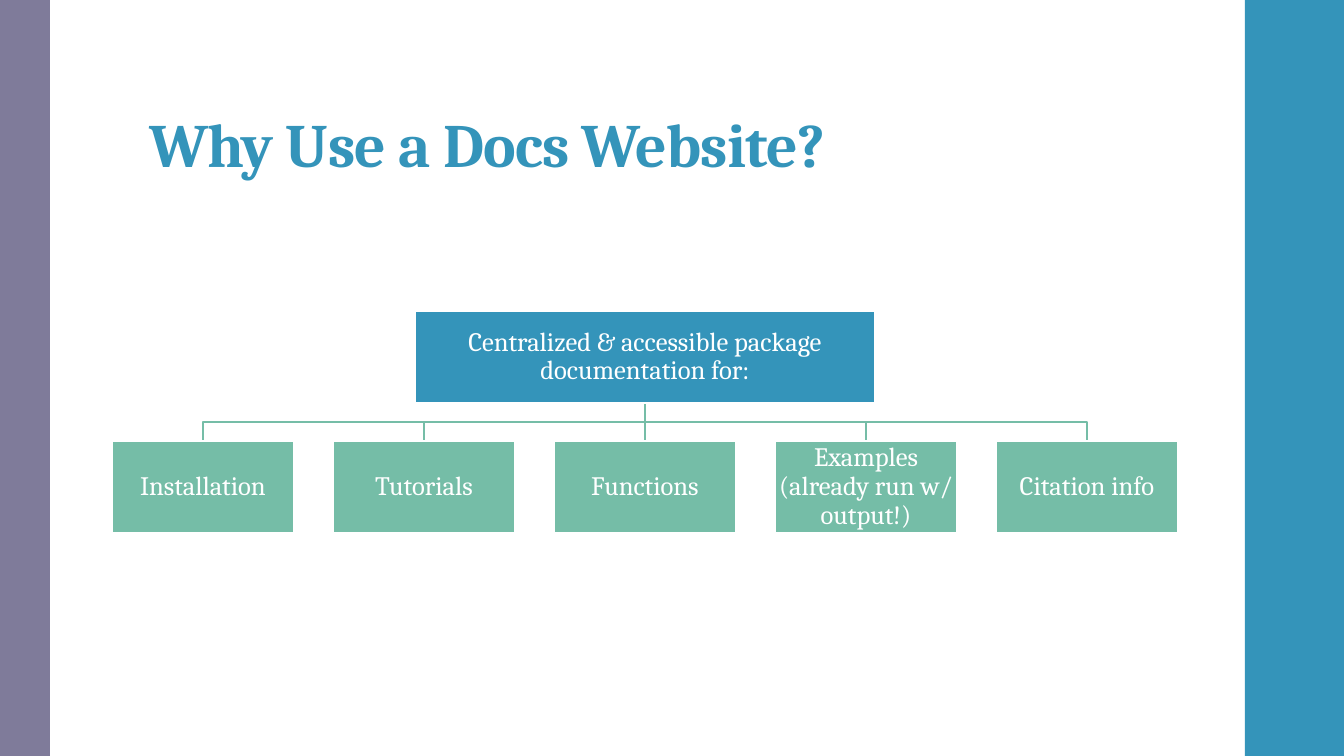
from lxml import etree
from pptx import Presentation
from pptx.dml.color import RGBColor
from pptx.enum.shapes import MSO_CONNECTOR, MSO_SHAPE
from pptx.enum.text import MSO_ANCHOR, MSO_AUTO_SIZE, PP_ALIGN
from pptx.oxml.ns import qn
from pptx.util import Pt

RECTANGLE = MSO_SHAPE.RECTANGLE
STRAIGHT = MSO_CONNECTOR.STRAIGHT
MIDDLE, BOTTOM = MSO_ANCHOR.MIDDLE, MSO_ANCHOR.BOTTOM
CENTER, LEFT = PP_ALIGN.CENTER, PP_ALIGN.LEFT
NO_AUTOFIT = MSO_AUTO_SIZE.NONE

PX = 914400 / 100.8
THEME = {
    "blue": RGBColor(0x34, 0x94, 0xBA),
    "purple": RGBColor(0x7F, 0x7B, 0x9A),
    "green": RGBColor(0x75, 0xBD, 0xA7),
    "white": RGBColor(0xFF, 0xFF, 0xFF),
    "font": "Cambria",
    "title_size": Pt(44),
    "box_size": Pt(19),
    "line_width": Pt(1.1),
}


def add_rectangle(bounds, color):
    rectangle = slide.shapes.add_shape(RECTANGLE, *(round(value * PX) for value in bounds))
    rectangle.shadow.inherit = False
    rectangle.fill.solid()
    rectangle.fill.fore_color.rgb = color
    rectangle.line.fill.background()
    return rectangle


def write_text(shape, text, size, color, bold, alignment, anchor, insets):
    """Fill the shape with one formatted paragraph; insets are left, top, right, bottom in px."""
    frame = shape.text_frame
    left, top, right, bottom = (round(value * PX) for value in insets)
    frame_format = {
        "word_wrap": True, "auto_size": NO_AUTOFIT, "vertical_anchor": anchor,
        "margin_left": left, "margin_top": top, "margin_right": right, "margin_bottom": bottom,
    }
    for name, value in frame_format.items():
        setattr(frame, name, value)
    paragraph = frame.paragraphs[0]
    paragraph.alignment = alignment
    paragraph.line_spacing = 0.9
    run = paragraph.add_run()
    run.text = text
    for name, value in {"name": THEME["font"], "size": size, "bold": bold}.items():
        setattr(run.font, name, value)
    run.font.color.rgb = color
    return run


presentation = Presentation()
presentation.slide_width = round(1344 * PX)
presentation.slide_height = round(756 * PX)
slide = presentation.slides.add_slide(presentation.slide_layouts[5])

# Side bands
add_rectangle((1245, 0, 99, 756), THEME["blue"])
add_rectangle((0, 0, 50, 756), THEME["purple"])

# Title
title = slide.shapes.title
title_bounds = {"left": 139, "top": 32, "width": 1068, "height": 154}
for name, value in title_bounds.items():
    setattr(title, name, round(value * PX))
title_run = write_text(title, "Why Use a Docs Website?", THEME["title_size"], THEME["blue"],
                       True, LEFT, BOTTOM, (10, 3, 10, 5))
title_run.font._element.set("spc", "-50")

# Hierarchy boxes
CENTER_X, ROOT_TOP, ROOT_WIDTH = 645, 311, 460
TOPIC_TOP, TOPIC_WIDTH, TOPIC_STEP = 441, 182, 221
BOX_HEIGHT = 92
ROOT_BOTTOM = ROOT_TOP + BOX_HEIGHT
BRANCH_Y = (ROOT_BOTTOM + TOPIC_TOP) // 2
topics = ["Installation", "Tutorials", "Functions", "Examples (already run w/ output!)", "Citation info"]
topic_centers = [CENTER_X + (index - len(topics) // 2) * TOPIC_STEP for index in range(len(topics))]

box_rows = [("Centralized & accessible package documentation for:",
             CENTER_X, ROOT_TOP, ROOT_WIDTH, THEME["blue"])]
box_rows += [(topic, center, TOPIC_TOP, TOPIC_WIDTH, THEME["green"])
             for topic, center in zip(topics, topic_centers)]
boxes = []
for text, center, top, width, color in box_rows:
    box = add_rectangle((center - width // 2, top, width, BOX_HEIGHT), color)
    box.line.color.rgb = THEME["white"]
    box.line.width = THEME["line_width"]
    write_text(box, text, THEME["box_size"], THEME["white"], False, CENTER, MIDDLE, (1, 1, 1, 1))
    boxes.append(box)

# Branches from the root to each topic
root, *topic_boxes = boxes
for topic_box, center in zip(topic_boxes, topic_centers):
    if center == CENTER_X:
        branch = slide.shapes.add_connector(STRAIGHT, 0, 0, 0, 0)
        branch.begin_connect(root, 2)
        branch.end_connect(topic_box, 0)
        etree.SubElement(branch._element.spPr, qn("a:effectLst"))
    else:
        builder = slide.shapes.build_freeform(CENTER_X, ROOT_BOTTOM, scale=PX)
        builder.add_line_segments(
            [(CENTER_X, BRANCH_Y), (center, BRANCH_Y), (center, TOPIC_TOP)], close=False)
        branch = builder.convert_to_shape()
        branch.fill.background()
        branch.shadow.inherit = False
    branch.line.color.rgb = THEME["green"]
    branch.line.width = THEME["line_width"]
    root._element.addprevious(branch._element)

presentation.save("out.pptx")
